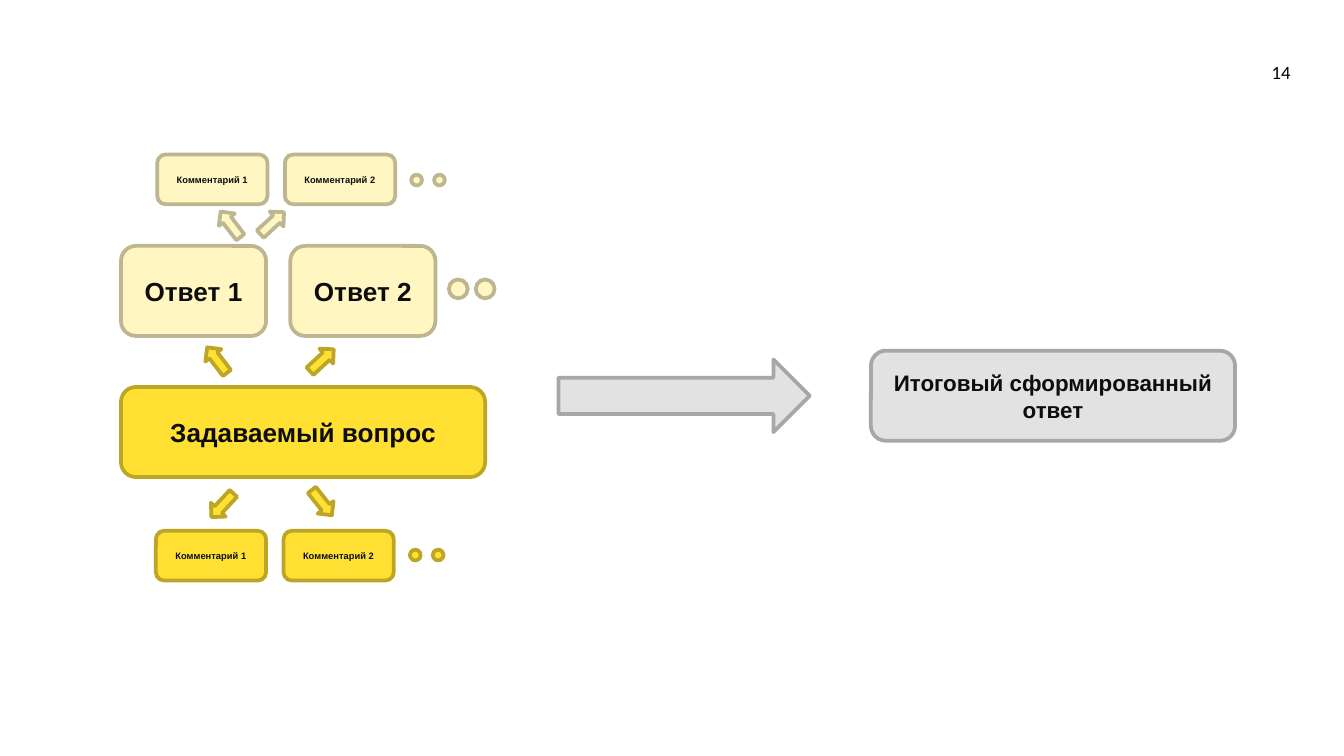
from pptx import Presentation
from pptx.dml.color import RGBColor
from pptx.enum.shapes import MSO_SHAPE as SHAPE
from pptx.enum.text import MSO_ANCHOR as ANCHOR, PP_ALIGN as ALIGN
from pptx.util import Inches, Pt

BLACK = RGBColor(0x00, 0x00, 0x00)
INK = RGBColor(0x0D, 0x0D, 0x0D)
YELLOW = (RGBColor(0xFF, 0xE0, 0x33), RGBColor(0xBD, 0xA6, 0x26))
CREAM = (RGBColor(0xFF, 0xF6, 0xC2), RGBColor(0xBD, 0xB6, 0x90))
GREY = (RGBColor(0xE2, 0xE2, 0xE2), RGBColor(0xA7, 0xA7, 0xA7))

PAGE_NUMBER = "14"
MAIN_BOXES = [
    ("Задаваемый вопрос", 0.9, 2.88, YELLOW, 14),
    ("Итоговый сформированный ответ", 6.48, 2.61, GREY, 12),
]
ANSWERS = ["Ответ 1", "Ответ 2"]
COMMENTS = ["Комментарий 1", "Комментарий 2"]

ROWS = [
    (COMMENTS, CREAM, (1.17, 1.15), (0.82, 0.37), 0.95, 5, (3.06, 1.3), 0.08, 0.17),
    (ANSWERS, CREAM, (0.9, 1.83), (1.08, 0.67), 1.26, 14, (3.34, 2.08), 0.14, 0.2),
    (COMMENTS, YELLOW, (1.16, 3.95), (0.82, 0.37), 0.95, 5, (3.05, 4.09), 0.08, 0.17),
]
SMALL_ARROWS = [
    (1.64, 1.55, 142.4, CREAM),
    (1.95, 1.54, 227.3, CREAM),
    (1.54, 2.56, 142.4, YELLOW),
    (2.32, 2.56, 227.3, YELLOW),
    (1.58, 3.64, 42.9, YELLOW),
    (2.32, 3.62, 321.6, YELLOW),
]


def write(sp, text, size, font="Arial", color=INK, bold=True, align=ALIGN.CENTER):
    tf = sp.text_frame
    tf.word_wrap = True
    tf.vertical_anchor = ANCHOR.MIDDLE
    p = tf.paragraphs[0]
    p.alignment = align
    r = p.add_run()
    r.text = text
    r.font.name = font
    r.font.size = Pt(size)
    r.font.bold = bold
    r.font.color.rgb = color


def draw(kind, left, top, width, height, colors, rotation=0):
    sp = slide.shapes.add_shape(kind, Inches(left), Inches(top), Inches(width), Inches(height))
    sp.shadow.inherit = False
    sp.fill.solid()
    sp.fill.fore_color.rgb, sp.line.color.rgb = colors
    sp.line.width = Pt(2)
    sp.rotation = rotation
    return sp


prs = Presentation()
prs.slide_width = Inches(10)
prs.slide_height = Inches(10 * 9 / 16)
slide = prs.slides.add_slide(prs.slide_layouts[6])

number = slide.shapes.add_textbox(Inches(9.1), Inches(0.32), Inches(0.6), Inches(0.43))
write(number, PAGE_NUMBER, 10, font="Calibri", color=BLACK, bold=False, align=ALIGN.RIGHT)

for text, left, top, colors, size in MAIN_BOXES:
    write(draw(SHAPE.ROUNDED_RECTANGLE, left, top, 2.71, 0.67, colors), text, size)

for labels, colors, (left, top), (w, h), step, size, (dot_left, dot_top), dot, dot_step in ROWS:
    for i, text in enumerate(labels):
        write(draw(SHAPE.ROUNDED_RECTANGLE, left + i * step, top, w, h, colors), text, size)
        draw(SHAPE.OVAL, dot_left + i * dot_step, dot_top, dot, dot, colors)

for left, top, rotation, colors in SMALL_ARROWS:
    draw(SHAPE.DOWN_ARROW, left, top, 0.15, 0.24, colors, rotation)
draw(SHAPE.DOWN_ARROW, 4.82, 2.01, 0.54, 1.87, GREY, 270)

prs.save("out.pptx")
